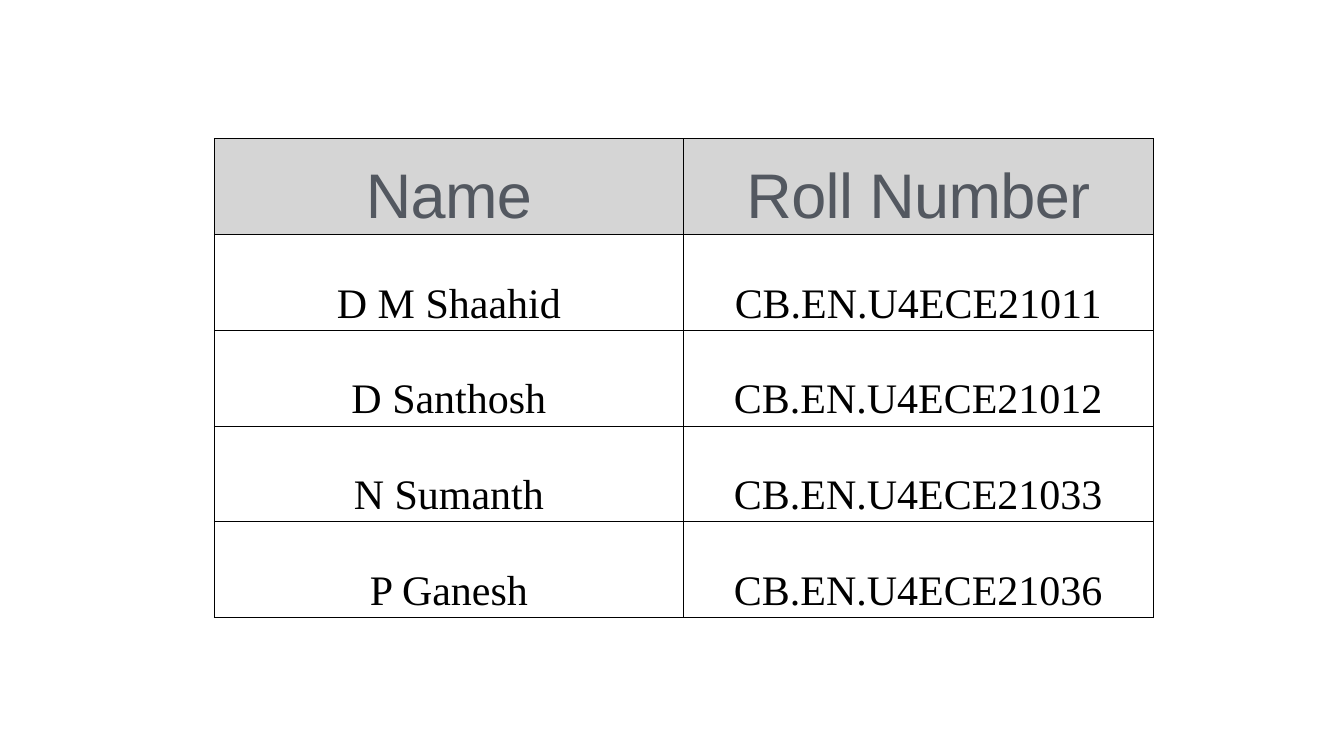
from dataclasses import dataclass

import pptx
import pptx.dml.color
import pptx.enum.text
import pptx.oxml.ns
import pptx.util
from lxml import etree

Inches = pptx.util.Inches
Pt = pptx.util.Pt


@dataclass(frozen=True)
class TextStyle:
    font: str
    size: float
    color: str
    fill: str
    line_spacing: float
    tracking: float


@dataclass(frozen=True)
class Theme:
    header: TextStyle = TextStyle("Arial", 90, "535860", "D5D5D5", 0.9, -0.9)
    body: TextStyle = TextStyle("Times New Roman", 60, "000000", "FFFFFF", 1.0, 0)
    border_color: str = "000000"
    border_width: float = 1
    space_before: float = 47
    cell_margin: float = 0.06


THEME = Theme()
HEADINGS = ("Name", "Roll Number")
STUDENTS = (
    ("D M Shaahid", "CB.EN.U4ECE21011"),
    ("D Santhosh", "CB.EN.U4ECE21012"),
    ("N Sumanth", "CB.EN.U4ECE21033"),
    ("P Ganesh", "CB.EN.U4ECE21036"),
)


def rgb(value):
    return pptx.dml.color.RGBColor.from_string(value)


def draw_borders(cell):
    qn = pptx.oxml.ns.qn
    properties = cell._tc.get_or_add_tcPr()
    for side in ("lnL", "lnR", "lnT", "lnB"):
        line = etree.SubElement(properties, qn(f"a:{side}"), w=str(Pt(THEME.border_width)))
        fill = etree.SubElement(line, qn("a:solidFill"))
        etree.SubElement(fill, qn("a:srgbClr"), val=THEME.border_color)


def fill_cell(cell, text, style):
    draw_borders(cell)
    cell.fill.solid()
    cell.fill.fore_color.rgb = rgb(style.fill)
    cell.vertical_anchor = pptx.enum.text.MSO_ANCHOR.BOTTOM
    margin = Inches(THEME.cell_margin)
    cell.margin_left = cell.margin_right = margin
    cell.margin_top = cell.margin_bottom = margin

    paragraph = cell.text_frame.paragraphs[0]
    paragraph.alignment = pptx.enum.text.PP_ALIGN.CENTER
    paragraph.line_spacing = style.line_spacing
    paragraph.space_before = Pt(THEME.space_before)
    paragraph.font.name = style.font
    paragraph.font.size = Pt(style.size)
    paragraph.font.bold = False
    paragraph.font.color.rgb = rgb(style.color)
    run = paragraph.add_run()
    run.text = text
    if style.tracking:
        run.font._element.set("spc", str(round(style.tracking * 100)))


def add_roster(slide, left, top, width, height):
    rows = (HEADINGS, *STUDENTS)
    roster = slide.shapes.add_table(
        len(rows), len(HEADINGS), Inches(left), Inches(top), Inches(width), Inches(height)
    ).table
    roster.horz_banding = False
    for row_index, row in enumerate(rows):
        style = THEME.body if row_index else THEME.header
        for column_index, text in enumerate(row):
            fill_cell(roster.cell(row_index, column_index), text, style)


def main():
    presentation = pptx.Presentation()
    presentation.slide_width = Inches(26.67)
    presentation.slide_height = Inches(15)
    slide = presentation.slides.add_slide(presentation.slide_layouts[6])
    add_roster(slide, 4.25, 2.75, 18.63, 9.5)
    presentation.save("out.pptx")


if __name__ == "__main__":
    main()
